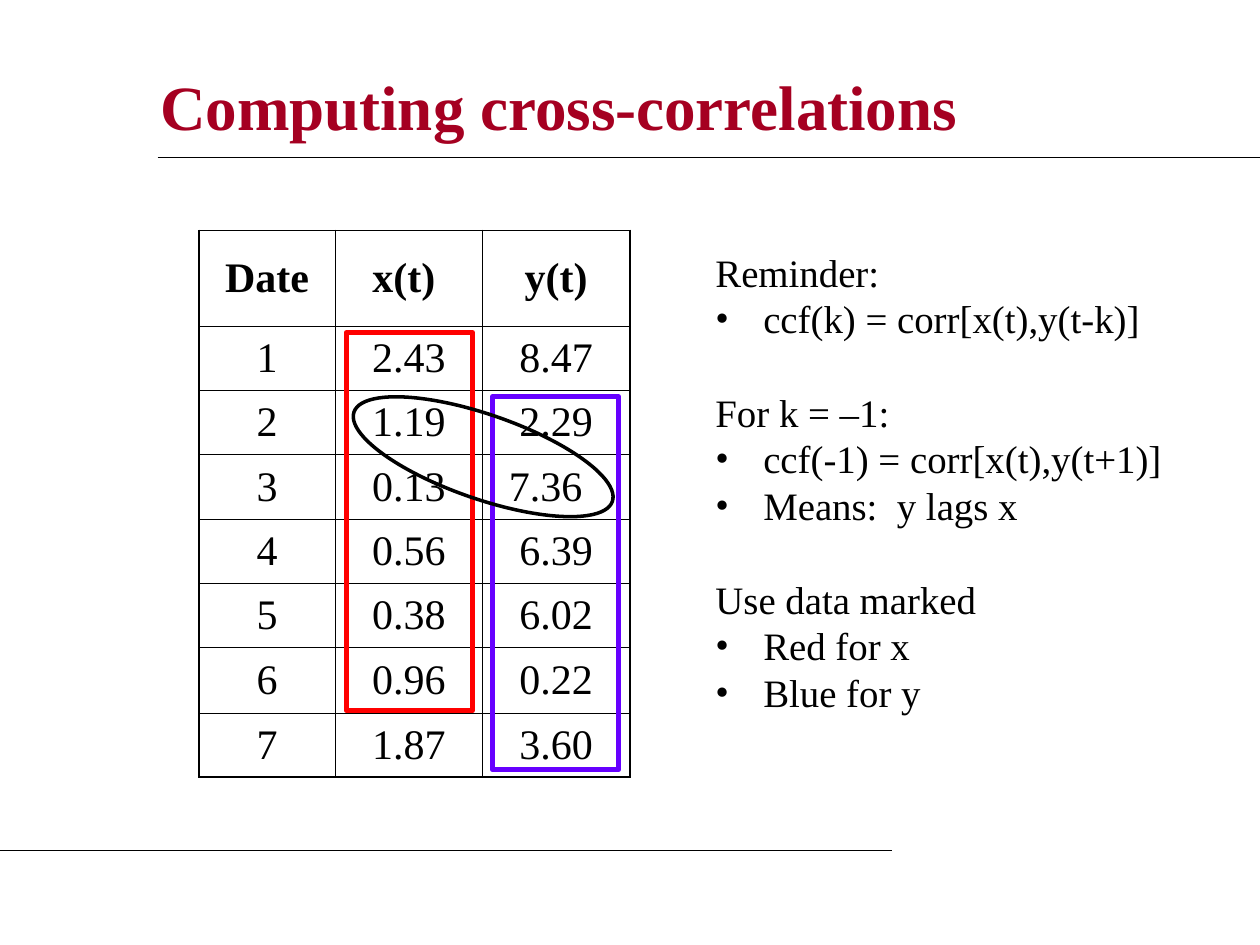
"""Build a slide that explains how cross-correlations are computed."""
from dataclasses import dataclass

from lxml import etree
from pptx import Presentation, util as u
from pptx.dml.color import RGBColor
from pptx.enum import shapes, text
from pptx.oxml import ns

FONT = "Times New Roman"
BLACK = "000000"
COLUMN_WIDTHS = (1.08, 1.17, 1.17)
ROW_HEIGHTS = (0.76, *[0.51] * 5, 0.52, 0.51)
ROWS = (
    ("Date", "x(t)", "y(t)"),
    ("1", "2.43", "8.47"),
    ("2", "1.19", "2.29"),
    ("3", "0.13", "7.36"),
    ("4", "0.56", "6.39"),
    ("5", "0.38", "6.02"),
    ("6", "0.96", "0.22"),
    ("7", "1.87", "3.60"),
)
RIGHT_MARGINS = {(0, 1): 0.18, (3, 2): 0.27}


@dataclass
class Rule:
    left: float
    right: float
    y: float


@dataclass
class Marker:
    kind: shapes.MSO_SHAPE
    left: float
    top: float
    width: float
    height: float
    color: str
    weight: float
    rotation: float = 0


@dataclass
class Note:
    heading: str
    bullets: tuple[str, ...]


RULES = (Rule(1.25, 10, 1.25), Rule(0, 7.08, 6.75))
MARKERS = (
    Marker(shapes.MSO_SHAPE.RECTANGLE, 2.75, 2.64, 1, 3, "FF0000", 3),
    Marker(shapes.MSO_SHAPE.RECTANGLE, 3.91, 3.15, 1, 2.96, "6600FF", 3),
    Marker(shapes.MSO_SHAPE.OVAL, 2.75, 3.29, 2.17, 0.67, BLACK, 2, 19.1),
)
NOTES = (
    Note("Reminder:", ("ccf(k) = corr[x(t),y(t-k)]",)),
    Note("For k = –1:", ("ccf(-1) = corr[x(t),y(t+1)]", "Means:  y lags x")),
    Note("Use data marked", ("Red for x", "Blue for y")),
)


def rgb(value: str) -> RGBColor:
    return RGBColor.from_string(value)


def add_element(parent, tag: str, **attributes: str):
    return etree.SubElement(parent, ns.qn(tag), attributes)


def style(paragraph, size: float, color: str = BLACK, bold: bool = False) -> None:
    font = paragraph.font
    font.name, font.size, font.bold = FONT, u.Pt(size), bold
    font.color.rgb = rgb(color)


def set_title(slide) -> None:
    title = slide.shapes.title
    title.left, title.top = u.Inches(1.17), u.Inches(0.42)
    title.width, title.height = u.Inches(8.08), u.Inches(0.83)
    frame = title.text_frame
    frame.text = "Computing cross-correlations"
    frame.auto_size = text.MSO_AUTO_SIZE.NONE
    frame.vertical_anchor = text.MSO_ANCHOR.MIDDLE
    frame.paragraphs[0].alignment = text.PP_ALIGN.LEFT
    style(frame.paragraphs[0], 36, "A50021", True)


def add_rule(slide, rule: Rule) -> None:
    y = u.Inches(rule.y)
    line = slide.shapes.add_connector(
        shapes.MSO_CONNECTOR.STRAIGHT, u.Inches(rule.left), y, u.Inches(rule.right), y)
    line.line.color.rgb = rgb(BLACK)
    line.line.width = u.Pt(0.75)
    add_element(line._element.spPr, "a:effectLst")


def add_borders(cell, row: int, column: int) -> None:
    properties = cell._tc.get_or_add_tcPr()
    outer = {
        "a:lnL": column == 0,
        "a:lnR": column == len(COLUMN_WIDTHS) - 1,
        "a:lnT": row == 0,
        "a:lnB": row == len(ROWS) - 1,
    }
    for tag, is_outer in outer.items():
        line = add_element(properties, tag, w=str(u.Pt(1.08 if is_outer else 0.45)))
        add_element(add_element(line, "a:solidFill"), "a:srgbClr", val=BLACK)


def add_data_table(slide) -> None:
    table = slide.shapes.add_table(
        len(ROWS), len(COLUMN_WIDTHS), u.Inches(1.58), u.Inches(1.83),
        u.Inches(sum(COLUMN_WIDTHS)), u.Inches(sum(ROW_HEIGHTS))).table
    table.first_row = table.horz_banding = False
    for column, width in zip(table.columns, COLUMN_WIDTHS):
        column.width = u.Inches(width)
    for row_index, (row, height) in enumerate(zip(table.rows, ROW_HEIGHTS)):
        row.height = u.Inches(height)
        for column_index, cell in enumerate(row.cells):
            cell.text = ROWS[row_index][column_index]
            cell.vertical_anchor = text.MSO_ANCHOR.MIDDLE
            cell.margin_right = u.Inches(RIGHT_MARGINS.get((row_index, column_index), 0.1))
            add_borders(cell, row_index, column_index)
            cell.fill.background()
            paragraph = cell.text_frame.paragraphs[0]
            paragraph.alignment = text.PP_ALIGN.CENTER
            style(paragraph, 24, bold=row_index == 0)


def add_marker(slide, marker: Marker) -> None:
    shape = slide.shapes.add_shape(
        marker.kind, u.Inches(marker.left), u.Inches(marker.top),
        u.Inches(marker.width), u.Inches(marker.height))
    shape.shadow.inherit = False
    shape.fill.background()
    shape.line.color.rgb = rgb(marker.color)
    shape.line.width = u.Pt(marker.weight)
    shape.rotation = marker.rotation


def add_bullet(paragraph) -> None:
    properties = paragraph._p.get_or_add_pPr()
    properties.set("marL", str(u.Inches(0.38)))
    properties.set("indent", str(u.Inches(-0.38)))
    add_element(add_element(properties, "a:buClr"), "a:srgbClr", val=BLACK)
    add_element(properties, "a:buFont", typeface=FONT)
    add_element(properties, "a:buChar", char="•")


def add_notes(slide, notes: tuple[Note, ...]) -> None:
    frame = slide.shapes.add_textbox(
        u.Inches(5.58), u.Inches(1.92), u.Inches(4), u.Inches(4.33)).text_frame
    frame.word_wrap = True
    pitch = u.Pt(26.7)
    for index, note in enumerate(notes):
        heading = frame.add_paragraph() if index else frame.paragraphs[0]
        heading.text = note.heading
        if index:
            heading.space_before = pitch
        for bullet in note.bullets:
            paragraph = frame.add_paragraph()
            paragraph.text = bullet
            add_bullet(paragraph)
    for paragraph in frame.paragraphs:
        paragraph.line_spacing = pitch
        style(paragraph, 22.2)


def main() -> None:
    presentation = Presentation()
    presentation.slide_width, presentation.slide_height = u.Inches(10), u.Inches(7.5)
    slide = presentation.slides.add_slide(presentation.slide_layouts[5])
    set_title(slide)
    add_notes(slide, NOTES)
    for rule in RULES:
        add_rule(slide, rule)
    add_data_table(slide)
    for marker in MARKERS:
        add_marker(slide, marker)
    presentation.save("out.pptx")


if __name__ == "__main__":
    main()
